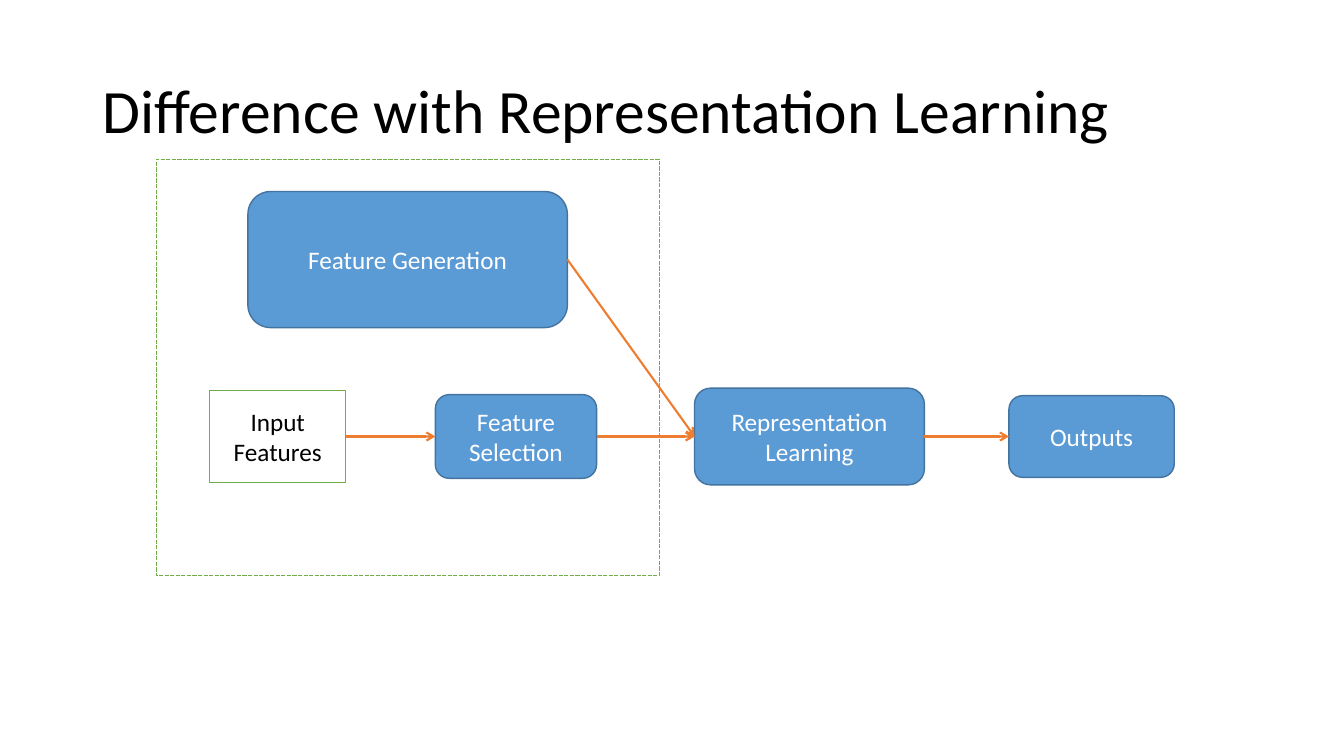
"""Build a slide showing feature engineering feeding representation learning."""
from pptx import Presentation
from pptx.dml.color import RGBColor
from pptx.enum.dml import MSO_LINE
from pptx.enum.shapes import MSO_CONNECTOR, MSO_SHAPE
from pptx.enum.text import MSO_ANCHOR, MSO_AUTO_SIZE, PP_ALIGN
from pptx.oxml.ns import qn
from pptx.util import Pt
from lxml.etree import SubElement


def paint(color_format, value):
    color_format.rgb = RGBColor.from_string(value)


def add_box(page, kind, bounds, fill, line, text="", ink="FFFFFF"):
    box = page.shapes.add_shape(kind, *[Pt(length) for length in bounds])
    box.shadow.inherit = False
    box.fill.solid()
    paint(box.fill.fore_color, fill)
    paint(box.line.color, line)
    box.line.width = Pt(1)
    if text:
        box.text_frame.word_wrap = True
        box.text_frame.vertical_anchor = MSO_ANCHOR.MIDDLE
        para = box.text_frame.paragraphs[0]
        para.alignment = PP_ALIGN.CENTER
        span = para.add_run()
        span.text = text
        span.font.name = "Calibri"
        span.font.size = Pt(18)
        paint(span.font.color, ink)
    return box


WHITE, GREEN, BLUE, NAVY, ORANGE = "FFFFFF", "70AD47", "5B9BD5", "43739E", "ED7D31"
RECT, ROUNDED = MSO_SHAPE.RECTANGLE, MSO_SHAPE.ROUNDED_RECTANGLE
LEFT_SITE, RIGHT_SITE = 1, 3
FLOW_Y = 311.8

deck = Presentation()
deck.slide_width, deck.slide_height = Pt(960), Pt(540)
page = deck.slides.add_slide(deck.slide_layouts[5])

title = page.shapes.title
title.left, title.top, title.width, title.height = Pt(66), Pt(28.75), Pt(828), Pt(104.4)
title.text_frame.word_wrap = True
title.text_frame.auto_size = MSO_AUTO_SIZE.NONE
title.text_frame.vertical_anchor = MSO_ANCHOR.MIDDLE
para = title.text_frame.paragraphs[0]
para.alignment = PP_ALIGN.LEFT
para.line_spacing = 0.9
span = para.add_run()
span.text = "Difference with Representation Learning"
span.font.name = "Calibri"
span.font.size = Pt(44)
paint(span.font.color, "000000")

frame = add_box(page, RECT, (111.6, 113.8, 359.3, 297.4), WHITE, GREEN)
frame.line.dash_style = MSO_LINE.SQUARE_DOT
title.element.addprevious(frame.element)

steps = [
    ("Input Features", RECT, 149.8, 97.2, 65.5, WHITE, GREEN, "000000"),
    ("Feature Selection", ROUNDED, 311, 115.2, 59.8, BLUE, NAVY, WHITE),
    ("Representation Learning", ROUNDED, 496.1, 164.2, 69.1, BLUE, NAVY, WHITE),
    ("Outputs", ROUNDED, 720.7, 118.1, 58.3, BLUE, NAVY, WHITE),
]
flow = []
for text, kind, left, width, height, fill, line, ink in steps:
    bounds = (left, FLOW_Y - height / 2, width, height)
    flow.append(add_box(page, kind, bounds, fill, line, text, ink))
generation = add_box(page, ROUNDED, (177.1, 136.8, 228.2, 97.2), BLUE, NAVY, "Feature Generation")

links = list(zip(flow, flow[1:])) + [(generation, flow[2])]
for source, target in links:
    arrow = page.shapes.add_connector(MSO_CONNECTOR.STRAIGHT, 0, 0, 0, 0)
    arrow.begin_connect(source, RIGHT_SITE)
    arrow.end_connect(target, LEFT_SITE)
    paint(arrow.line.color, ORANGE)
    arrow.line.width = Pt(1.5)
    SubElement(arrow.line._get_or_add_ln(), qn("a:tailEnd"), type="arrow")
    SubElement(arrow.element.spPr, qn("a:effectLst"))

deck.save("out.pptx")
